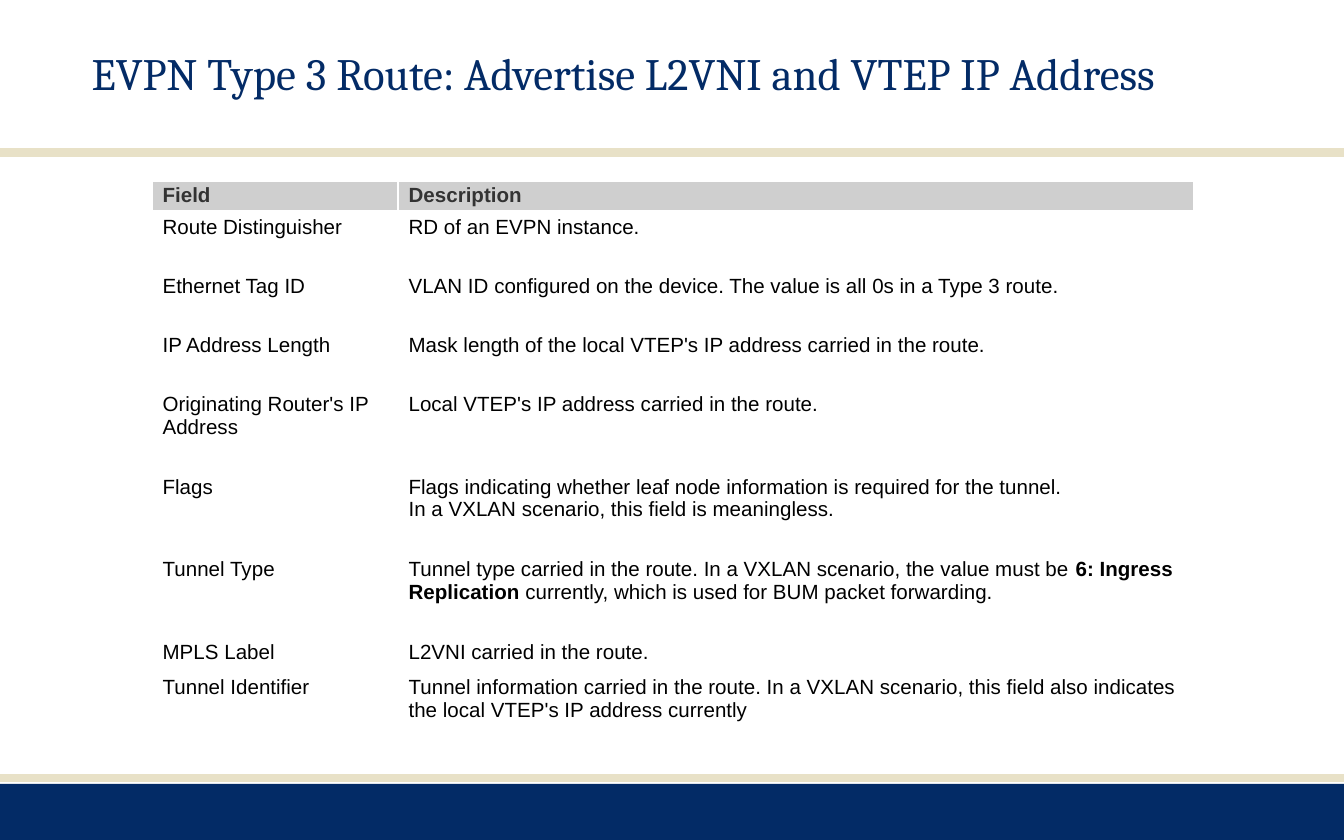
from lxml import etree
from pptx import Presentation
from pptx.dml.color import RGBColor
from pptx.enum import shapes, text
from pptx.oxml import ns
from pptx.util import Pt

NAVY = RGBColor(0x03, 0x2B, 0x66)
SAND = RGBColor(0xE8, 0xE1, 0xC7)
GREY = RGBColor(0xCF, 0xCF, 0xCF)
DARK = RGBColor(0x33, 0x33, 0x33)
BLACK = RGBColor(0, 0, 0)
WHITE = RGBColor(0xFF, 0xFF, 0xFF)

WIDTH, HEIGHT = 720, 450
TITLE = "EVPN Type 3 Route: Advertise L2VNI and VTEP IP Address"
COLS = (131.8, 426.2)

# Row height, field, description; ** marks bold text.
ROWS = [
    (15.8, "Field", "Description"),
    (31.6, "Route Distinguisher", "RD of an EVPN instance."),
    (31.6, "Ethernet Tag ID",
     "VLAN ID configured on the device. The value is all 0s in a Type 3 route."),
    (31.6, "IP Address Length",
     "Mask length of the local VTEP's IP address carried in the route."),
    (44.2, "Originating Router's IP Address",
     "Local VTEP's IP address carried in the route."),
    (44.2, "Flags",
     "Flags indicating whether leaf node information is required for the tunnel.\n"
     "In a VXLAN scenario, this field is meaningless."),
    (44.2, "Tunnel Type",
     "Tunnel type carried in the route. In a VXLAN scenario, the value must be "
     "**6: Ingress Replication** currently, which is used for BUM packet forwarding."),
    (18.8, "MPLS Label", "L2VNI carried in the route."),
    (44.2, "Tunnel Identifier",
     "Tunnel information carried in the route. In a VXLAN scenario, this field "
     "also indicates the local VTEP's IP address currently"),
]


def style(font, name, size, color, bold=False):
    font.name, font.size, font.bold = name, Pt(size), bold
    font.color.rgb = color


def add_rule(slide, y, weight):
    """Draw a sand line across the whole slide."""
    rule = slide.shapes.add_connector(
        shapes.MSO_CONNECTOR.STRAIGHT, Pt(0), Pt(y), Pt(WIDTH), Pt(y))
    rule.line.color.rgb = SAND
    rule.line.width = Pt(weight)
    etree.SubElement(rule._element.spPr, ns.qn("a:effectLst"))


def add_band(slide, top):
    band = slide.shapes.add_shape(
        shapes.MSO_SHAPE.RECTANGLE, Pt(0), Pt(top), Pt(WIDTH), Pt(HEIGHT - top))
    band.shadow.inherit = False
    band.fill.solid()
    band.fill.fore_color.rgb = NAVY
    band.line.fill.background()


def add_title(slide):
    frame = slide.shapes.add_textbox(Pt(42), Pt(15.8), Pt(648), Pt(41)).text_frame
    frame.word_wrap = True
    frame.vertical_anchor = text.MSO_ANCHOR.BOTTOM
    frame.text = TITLE
    style(frame.paragraphs[0].runs[0].font, "Cambria", 24, NAVY)


def fill_cell(cell, words, head):
    cell.fill.solid()
    cell.fill.fore_color.rgb = GREY if head else WHITE
    cell.margin_left = cell.margin_right = Pt(5.7)
    cell.margin_top = cell.margin_bottom = Pt(1.4 if head else 2.85)
    frame = cell.text_frame
    for i, line in enumerate(words.split("\n")):
        para = frame.add_paragraph() if i else frame.paragraphs[0]
        for j, part in enumerate(line.split("**")):
            run = para.add_run()
            run.text = part
            style(run.font, "Arial", 11, DARK if head else BLACK,
                  head or j % 2 == 1)


def add_fields(slide):
    """Add the table of route fields."""
    table = slide.shapes.add_table(
        len(ROWS), len(COLS), Pt(81.4), Pt(97.2), Pt(sum(COLS)),
        Pt(sum(row[0] for row in ROWS))).table
    table.horz_banding = False
    for col, width in zip(table.columns, COLS):
        col.width = Pt(width)
    for r, (height, *words) in enumerate(ROWS):
        table.rows[r].height = Pt(height)
        for c, word in enumerate(words):
            fill_cell(table.cell(r, c), word, r == 0)


def main():
    deck = Presentation()
    deck.slide_width, deck.slide_height = Pt(WIDTH), Pt(HEIGHT)
    slide = deck.slides.add_slide(deck.slide_layouts[6])
    add_rule(slide, 416.9, 4)
    add_rule(slide, 81.6, 5)
    add_band(slide, 420)
    add_fields(slide)
    add_title(slide)
    deck.save("out.pptx")


if __name__ == "__main__":
    main()
